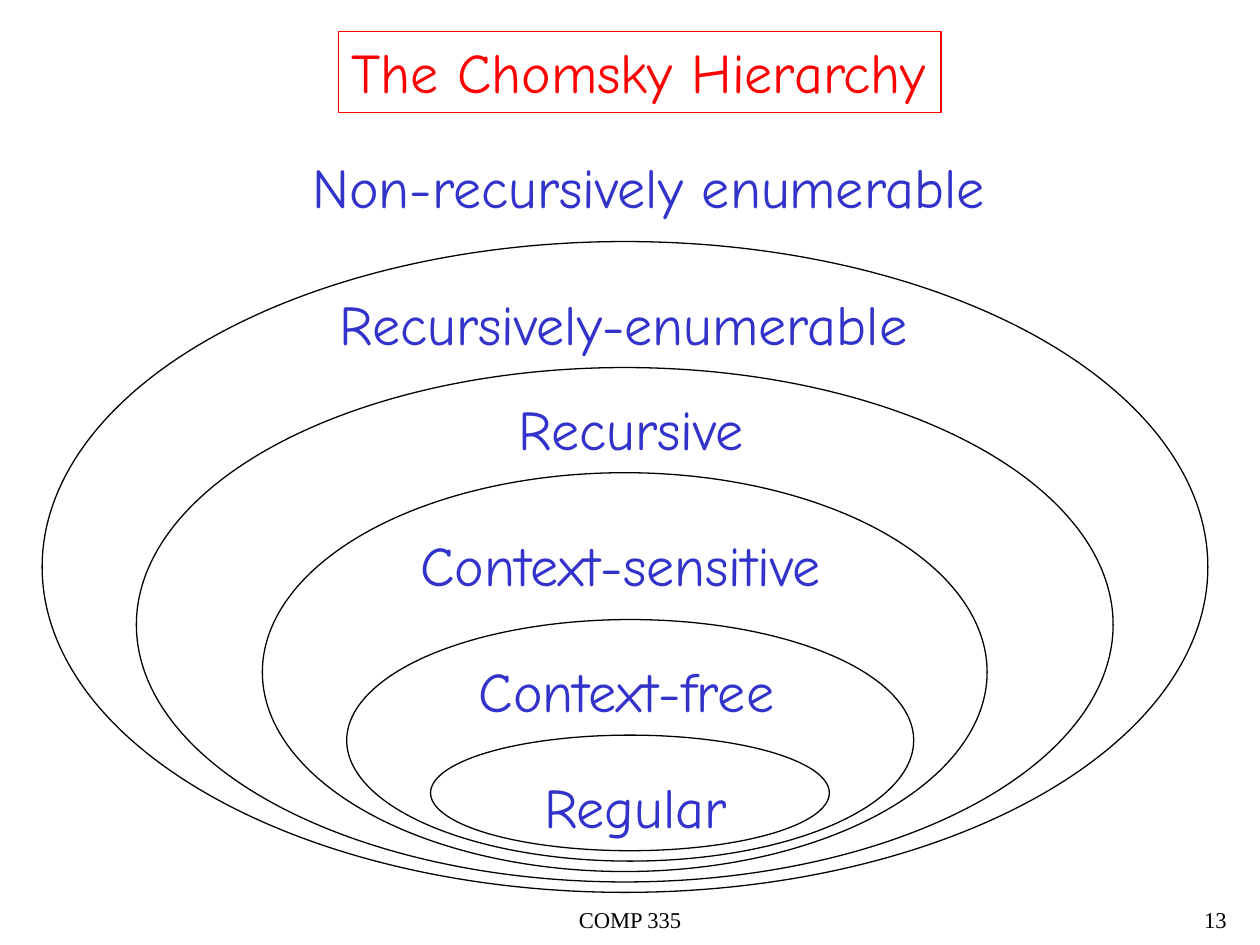
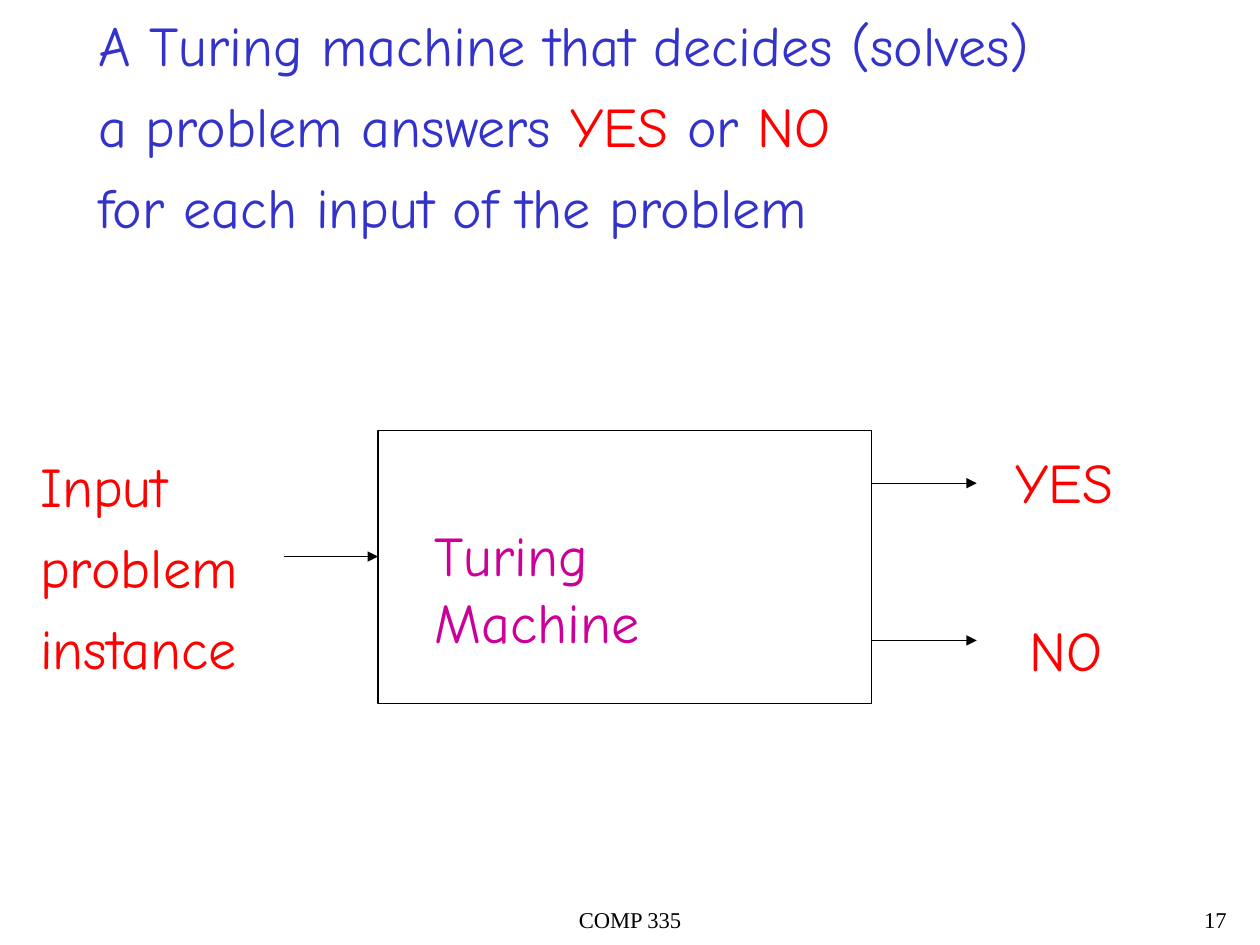
from lxml import etree
from pptx import Presentation
from pptx.dml.color import RGBColor
from pptx.enum.shapes import MSO_CONNECTOR as CONNECTOR, MSO_SHAPE as SHAPE
from pptx.enum.text import MSO_AUTO_SIZE as AUTO_SIZE, PP_ALIGN as ALIGN
from pptx.oxml.ns import qn
from pptx.util import Cm, Pt

COLOURS = {"blue": "3333CC", "red": "FF0000", "purple": "CC0099", "black": "000000"}
BODY_FONT = {"name": "Comic Neue", "size": Pt(32)}
FOOTER_FONT = {"name": "Times New Roman", "size": Pt(12.9)}
BODY_PARAGRAPH = {"alignment": ALIGN.LEFT, "space_before": Pt(8)}
LINE_WIDTH = Pt(0.75)
TEXT_HEIGHTS = {1: 1.63, 3: 4.9}

COURSE = "COMP 335"
FOOTER_TOP, FOOTER_HEIGHT = 18.2, 0.85

HIERARCHY_TITLE = ("The Chomsky Hierarchy", 6.83, 0.64, 12.14)
CLASS_LABELS = [
    ("Non-recursively enumerable", 6.05, 2.96, 14.12),
    ("Recursively-enumerable", 6.6, 5.72, 12.01),
    ("Recursive", 10.21, 7.83, 5.08),
    ("Context-sensitive", 8.23, 10.58, 8.64),
    ("Context-free", 9.4, 13.12, 6.53),
    ("Regular", 10.72, 15.45, 4.19),
]
CLASS_ELLIPSES = [
    (0.85, 4.87, 23.5),
    (2.75, 7.41, 19.69),
    (5.29, 9.53, 14.61),
    (6.99, 12.49, 11.43),
    (8.68, 14.82, 8.04),
]
OUTER_BOTTOM, BOTTOM_STEP = 17.99, 0.21

STATEMENT = [
    [("A Turing machine that decides (solves)", "blue")],
    [("a problem answers ", "blue"), ("YES", "red"), (" or ", "blue"), ("NO", "red")],
    [("for each input of the problem", "blue")],
]
INPUT_LINES = [[(word, "red")] for word in ("Input", "problem", "instance")]
MACHINE_LEFT, MACHINE_TOP, MACHINE_WIDTH, MACHINE_HEIGHT = 7.62, 8.68, 9.95, 5.5
MACHINE_RIGHT = MACHINE_LEFT + MACHINE_WIDTH
MACHINE_TEXTS = [
    ([[("Turing Machine", "purple")]], 8.51, 10.37, 8.1),
    (INPUT_LINES, 0.56, 8.97, 4.5),
    ([[("YES", "red")]], 20.22, 8.89, 2.49),
    ([[("NO", "red")]], 20.5, 12.28, 1.98),
    (STATEMENT, 1.73, 0.08, 19.69),
]
ARROWS = [
    (MACHINE_RIGHT, 19.69, 9.74),
    (MACHINE_RIGHT, 19.69, 12.91),
    (5.72, MACHINE_LEFT, 11.22),
]


def colour(name):
    return RGBColor.from_string(COLOURS[name])


def apply_format(target, values):
    for name, value in values.items():
        setattr(target, name, value)


def set_line(line, colour_name="black"):
    line.color.rgb = colour(colour_name)
    line.width = LINE_WIDTH


def add_text(slide, lines, left, top, width, height=None,
             font=BODY_FONT, paragraph_format=BODY_PARAGRAPH):
    fitted = height is None
    height = TEXT_HEIGHTS[len(lines)] if fitted else height
    box = slide.shapes.add_textbox(*map(Cm, (left, top, width, height)))
    frame = box.text_frame
    frame.word_wrap = not fitted
    frame.auto_size = AUTO_SIZE.SHAPE_TO_FIT_TEXT if fitted else AUTO_SIZE.NONE
    for index, runs in enumerate(lines):
        paragraph = frame.add_paragraph() if index else frame.paragraphs[0]
        apply_format(paragraph, paragraph_format)
        for text, colour_name in runs:
            run = paragraph.add_run()
            run.text = text
            apply_format(run.font, font)
            run.font.color.rgb = colour(colour_name)
    return box


def add_outline(slide, kind, left, top, width, height):
    shape = slide.shapes.add_shape(kind, *map(Cm, (left, top, width, height)))
    shape.shadow.inherit = False
    shape.fill.background()
    set_line(shape.line)


def add_arrow(slide, start, end, y):
    arrow = slide.shapes.add_connector(CONNECTOR.STRAIGHT, *map(Cm, (start, y, end, y)))
    set_line(arrow.line)
    properties = arrow.element.spPr
    etree.SubElement(properties.find(qn("a:ln")), qn("a:tailEnd"), type="triangle")
    etree.SubElement(properties, qn("a:effectLst"))


def add_page(presentation, number):
    slide = presentation.slides.add_slide(presentation.slide_layouts[6])
    for text, left, width, alignment in (
        (COURSE, 8.68, 8.04, ALIGN.CENTER),
        (str(number), 19.69, 5.29, ALIGN.RIGHT),
    ):
        add_text(slide, [[(text, "black")]], left, FOOTER_TOP, width, FOOTER_HEIGHT,
                 FOOTER_FONT, {"alignment": alignment, "line_spacing": 0.9})
    return slide


def build_hierarchy(presentation):
    slide = add_page(presentation, 13)
    for index, (left, top, width) in enumerate(CLASS_ELLIPSES):
        bottom = OUTER_BOTTOM - index * BOTTOM_STEP
        add_outline(slide, SHAPE.OVAL, left, top, width, bottom - top)
    for text, *place in CLASS_LABELS:
        add_text(slide, [[(text, "blue")]], *place)
    text, *place = HIERARCHY_TITLE
    title = add_text(slide, [[(text, "red")]], *place)
    set_line(title.line, "red")


def build_machine(presentation):
    slide = add_page(presentation, 17)
    add_outline(slide, SHAPE.RECTANGLE, MACHINE_LEFT, MACHINE_TOP,
                MACHINE_WIDTH, MACHINE_HEIGHT)
    for arrow in ARROWS:
        add_arrow(slide, *arrow)
    for text in MACHINE_TEXTS:
        add_text(slide, *text)


def main():
    presentation = Presentation()
    presentation.slide_width, presentation.slide_height = Cm(25.4), Cm(19.05)
    build_hierarchy(presentation)
    build_machine(presentation)
    presentation.save("out.pptx")


if __name__ == "__main__":
    main()
